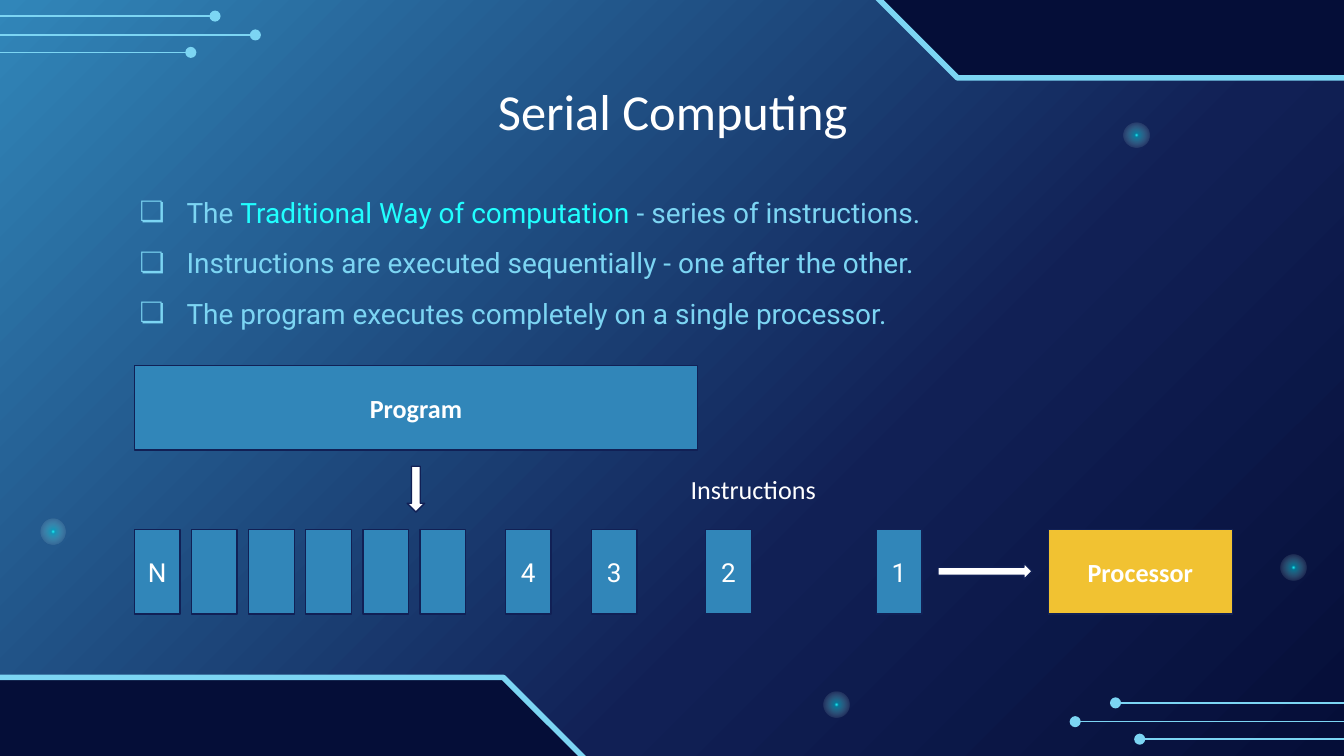
import pptx
import pptx.util
import pptx.dml.color
import pptx.enum.shapes
import pptx.enum.text
import pptx.oxml
import pptx.oxml.ns
from pptx.util import Inches

SHAPE = pptx.enum.shapes.MSO_SHAPE
ALIGN = pptx.enum.text.PP_ALIGN
ANCHOR = pptx.enum.text.MSO_ANCHOR
NIGHT, NAVY, BLUE, SKY = "050E38", "112055", "3186B9", "7CD5F3"
CYAN, WHITE, GOLD = "21FFFF", "FFFFFF", "F1C232"


def paint(target, colour):
    target.rgb = pptx.dml.color.RGBColor.from_string(colour)


def element(markup):
    return pptx.oxml.parse_xml(markup.replace(" ", f" {pptx.oxml.ns.nsdecls('a')} ", 1))


def gradient(fill, owner, stops, direction):
    fill.gradient()
    old = next(owner.iter(pptx.oxml.ns.qn("a:gradFill")))
    marks = "".join(
        f'<a:gs pos="{at * 1000}"><a:srgbClr val="{colour}"><a:alpha val="{alpha * 1000}"/></a:srgbClr></a:gs>'
        for at, colour, alpha in stops)
    new = element(f'<a:gradFill rotWithShape="1"><a:gsLst>{marks}</a:gsLst>{direction}</a:gradFill>')
    old.getparent().replace(old, new)


def write(paragraph, text, size=14, font="Calibri", colour=WHITE, bold=False):
    run = paragraph.add_run()
    run.text = text
    run.font.size = pptx.util.Pt(size)
    run.font.name = font
    run.font.bold = bold
    paint(run.font.color, colour)


class Board:
    """Draws styled elements on the current slide."""

    def __init__(self, slide):
        self.slide = slide

    def backdrop(self, stops):
        gradient(self.slide.background.fill, self.slide.element, stops, '<a:lin ang="2700000" scaled="0"/>')

    def frame(self, holder, anchor=ANCHOR.MIDDLE):
        frame = holder.text_frame
        frame.word_wrap = True
        frame.vertical_anchor = anchor
        frame.margin_left = frame.margin_right = Inches(0.1)
        frame.margin_top = frame.margin_bottom = Inches(0.1)
        return frame

    def shape(self, kind, left, top, width, height, fill=None, line=None, weight=0.75):
        shape = self.slide.shapes.add_shape(kind, Inches(left), Inches(top), Inches(width), Inches(height))
        shape.shadow.inherit = False
        if fill:
            shape.fill.solid()
            paint(shape.fill.fore_color, fill)
        if line:
            paint(shape.line.color, line)
            shape.line.width = pptx.util.Pt(weight)
        else:
            shape.line.fill.background()
        return shape

    def glow(self, left, top):
        glow = self.shape(SHAPE.OVAL, left, top, 0.19, 0.19)
        glow.rotation = 14.6
        stops = [(0, CYAN, 100), (9, "05D8E7", 48), (69, WHITE, 0), (100, WHITE, 0)]
        gradient(glow.fill, glow.element, stops,
                 '<a:path path="circle"><a:fillToRect l="50000" t="50000" r="50000" b="50000"/></a:path>')

    def corner(self, left, top, rotation=0):
        corner = self.shape(SHAPE.SNIP_2_SAME_RECTANGLE, left, top, 5.19, 1.41, NIGHT, SKY, 3)
        corner.adjustments[0] = 0.5
        corner.adjustments[1] = 0
        corner.rotation = rotation

    def circuit(self, start, end, y):
        wire = self.slide.shapes.add_connector(
            pptx.enum.shapes.MSO_CONNECTOR.STRAIGHT, Inches(start), Inches(y), Inches(end), Inches(y))
        paint(wire.line.color, SKY)
        wire.line.width = pptx.util.Pt(0.75)
        wire.line._get_or_add_ln().append(element('<a:tailEnd type="oval"/>'))
        wire.element.spPr.append(element("<a:effectLst />"))

    def box(self, left, top, width, text="", fill=BLUE, **style):
        box = self.shape(SHAPE.RECTANGLE, left, top, width, 0.63, fill, NAVY)
        if text:
            paragraph = self.frame(box).paragraphs[0]
            paragraph.alignment = ALIGN.CENTER
            write(paragraph, text, **style)

    def text_area(self, left, top, width, height, anchor=ANCHOR.MIDDLE):
        area = self.slide.shapes.add_textbox(Inches(left), Inches(top), Inches(width), Inches(height))
        return self.frame(area, anchor)

    def label(self, left, top, width, height, text, size):
        paragraph = self.text_area(left, top, width, height).paragraphs[0]
        paragraph.alignment = ALIGN.CENTER
        write(paragraph, text, size)

    def bullets(self, left, top, width, height, points):
        frame = self.text_area(left, top, width, height, ANCHOR.TOP)
        for index, point in enumerate(points):
            paragraph = frame.add_paragraph() if index else frame.paragraphs[0]
            paragraph.line_spacing = 1.5
            properties = paragraph._p.get_or_add_pPr()
            properties.set("marL", str(Inches(0.5)))
            properties.set("indent", str(Inches(-0.35)))
            properties.append(element(f'<a:buClr ><a:srgbClr val="{SKY}"/></a:buClr>'))
            properties.append(element('<a:buSzPts val="1500"/>'))
            properties.append(element('<a:buFont typeface="Roboto"/>'))
            properties.append(element('<a:buChar char="❏"/>'))
            for text, colour in point:
                write(paragraph, text, 15, "Roboto", colour)


def main():
    deck = pptx.Presentation()
    deck.slide_width = Inches(10)
    deck.slide_height = deck.slide_width * 9 // 16
    board = Board(deck.slides.add_slide(deck.slide_layouts[6]))

    board.backdrop([(0, BLUE, 100), (64, NAVY, 100), (100, NIGHT, 100)])
    for left, top in [(6.13, 5.15), (9.53, 4.13), (8.36, 0.91), (0.3, 3.86)]:
        board.glow(left, top)
    board.corner(-0.74, 5.04)
    for end, y in [(8, 5.37), (8.48, 5.5), (8.3, 5.23)]:
        board.circuit(end + 2.31, end, y)
    for end, y in [(1.9, 0.26), (1.42, 0.39), (1.6, 0.12)]:
        board.circuit(end - 2.31, end, y)
    board.corner(6.42, -0.83, 180)

    board.label(0.79, 0.51, 8.43, 0.63, "Serial Computing", 27)
    board.bullets(0.79, 1.23, 8.43, 3.74, [
        [("The ", SKY), ("Traditional Way of computation", CYAN), (" - series of instructions.", SKY)],
        [("Instructions are executed sequentially - one after the other.", SKY)],
        [("The program executes completely on a single processor.", SKY)],
    ])

    board.box(1, 2.72, 4.19, "Program", bold=True)
    queue = [(1 + 0.425 * place, "" if place else "N") for place in range(6)]
    queue += [(3.76, "4"), (4.4, "3"), (5.25, "2"), (6.52, "1")]
    for left, number in queue:
        board.box(left, 3.94, 0.34, number, font="Roboto")
    board.box(7.8, 3.94, 1.37, "Processor", GOLD, bold=True)
    board.shape(SHAPE.DOWN_ARROW, 3.03, 3.47, 0.13, 0.34, WHITE, NAVY)
    board.label(4.69, 3.47, 1.83, 0.34, "Instructions", 14)
    board.shape(SHAPE.RIGHT_ARROW, 6.98, 4.19, 0.7, 0.12, WHITE, NAVY)
    deck.save("out.pptx")


if __name__ == "__main__":
    main()
